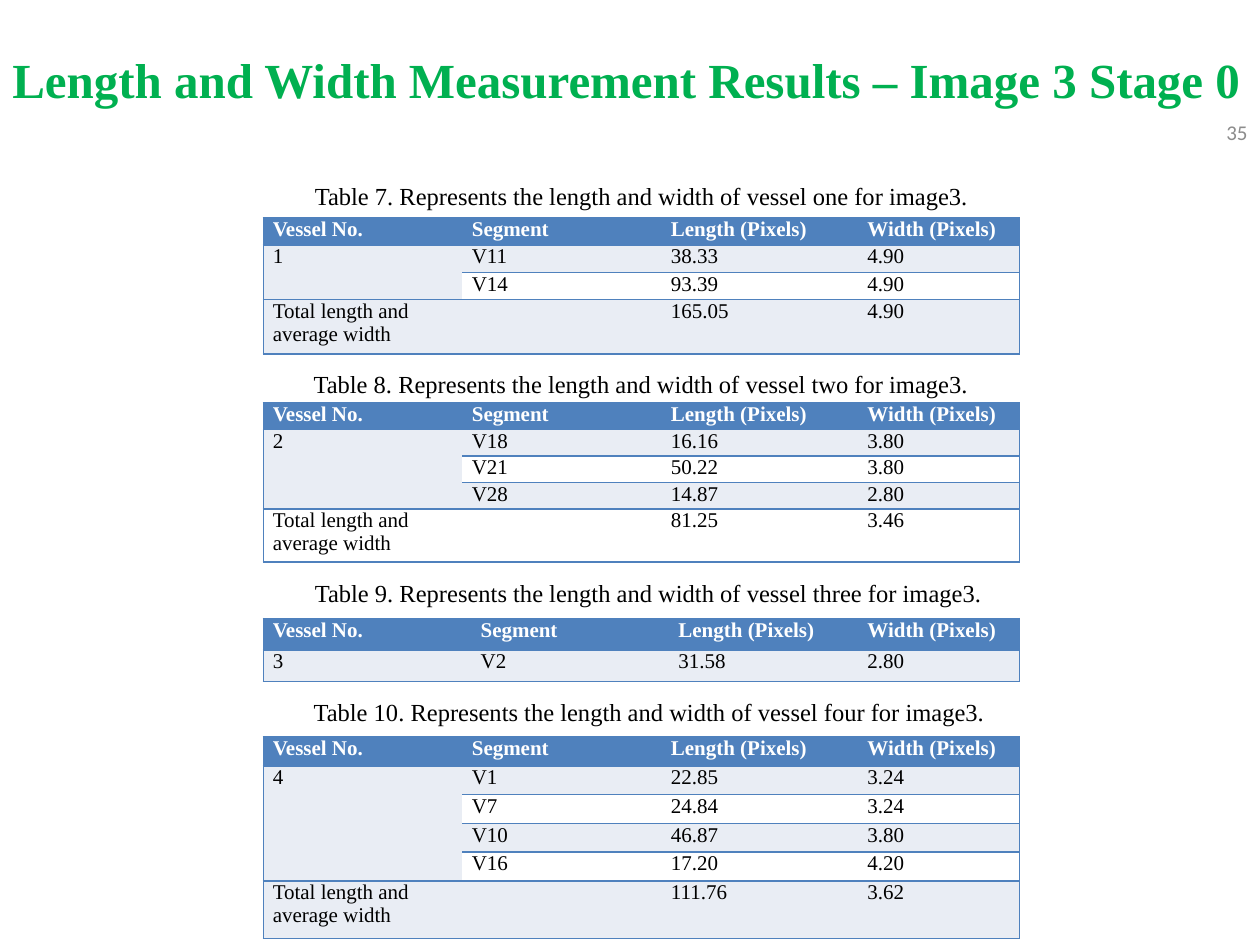
import dataclasses

import pptx
import pptx.dml.color
import pptx.enum.text
import pptx.oxml
import pptx.oxml.ns
import pptx.util

Align = pptx.enum.text.PP_ALIGN
Anchor = pptx.enum.text.MSO_ANCHOR


@dataclasses.dataclass(frozen=True)
class Theme:
    serif: str = "Times New Roman"
    sans: str = "Calibri"
    title: str = "00B050"
    ink: str = "000000"
    muted: str = "8C8C8C"
    header: str = "4F81BD"
    header_ink: str = "FFFFFF"
    bands: tuple = ("FFFFFF", "E9EDF4")
    title_size: int = 28
    caption_size: int = 14
    body_size: int = 12


class ResultsSlide:
    """Places elements on a grid of 100 columns by 75 rows."""

    def __init__(self, deck, theme):
        self.theme = theme
        self.column = deck.slide_width / 100
        self.row = deck.slide_height / 75
        self.page = deck.slides.add_slide(deck.slide_layouts[6])

    def across(self, columns):
        return pptx.util.Emu(round(columns * self.column))

    def down(self, rows):
        return pptx.util.Emu(round(rows * self.row))

    def frame(self, left, top, width, height):
        return self.across(left), self.down(top), self.across(width), self.down(height)

    def style(self, para, size, color, face=None, bold=False):
        font = para.font
        font.name = face or self.theme.serif
        font.size = pptx.util.Pt(size)
        font.bold = bold
        font.color.rgb = pptx.dml.color.RGBColor.from_string(color)

    def text(self, words, place, size, color, face=None, bold=False,
             align=Align.LEFT, anchor=Anchor.TOP):
        box = self.page.shapes.add_textbox(*self.frame(*place))
        box.text_frame.word_wrap = True
        box.text_frame.vertical_anchor = anchor
        para = box.text_frame.paragraphs[0]
        para.text = words
        para.alignment = align
        self.style(para, size, color, face, bold)

    def caption(self, words, left, top):
        self.text(words, (left, top, 60, 3.4), self.theme.caption_size, self.theme.ink)

    def cell(self, cell, words, fill, color, bold, lined_sides):
        """Fill one cell; lined_sides lists which of L, R, T and B are ruled."""
        cell.margin_left = cell.margin_right = self.across(0.75)
        cell.margin_top = cell.margin_bottom = 0
        para = cell.text_frame.paragraphs[0]
        para.text = words
        self.style(para, self.theme.body_size, color, bold=bold)
        properties = cell._tc.get_or_add_tcPr()
        for side in "LRTB":
            paint = (f'<a:solidFill><a:srgbClr val="{self.theme.header}"/></a:solidFill>'
                     if side in lined_sides else "<a:noFill/>")
            properties.append(pptx.oxml.parse_xml(
                f'<a:ln{side} {pptx.oxml.ns.nsdecls("a")} w="12700">{paint}</a:ln{side}>'))
        cell.fill.solid()
        cell.fill.fore_color.rgb = pptx.dml.color.RGBColor.from_string(fill)

    def vessel_table(self, top, height, widths, vessel, segments, total):
        """One vessel's segments under a header; a total row is twice as tall."""
        rows = [("Vessel No.", "Segment", "Length (Pixels)", "Width (Pixels)")]
        rows += [(vessel if i == 0 else "", *segment) for i, segment in enumerate(segments)]
        units = [1] * len(rows)
        if total:
            rows.append(("Total length and average width", "", *total))
            units.append(2)
        table = self.page.shapes.add_table(
            len(rows), len(widths), *self.frame(20.9, top, sum(widths), height)).table
        table.first_row = table.horz_banding = False
        for column, width in zip(table.columns, widths):
            column.width = self.across(width)
        for row, unit in zip(table.rows, units):
            row.height = self.down(height * unit / sum(units))
        if len(segments) > 1:
            table.cell(1, 0).merge(table.cell(len(segments), 0))
        for r, row in enumerate(rows):
            header = r == 0
            fill = self.theme.header if header else self.theme.bands[r % 2]
            color = self.theme.header_ink if header else self.theme.ink
            for c, words in enumerate(row):
                cell = table.cell(r, c)
                sides = "TB" + {0: "L", len(row) - 1: "R"}.get(c, "")
                self.cell(cell, words, fill, color, header, sides)


WIDTHS = (15.8, 15.8, 15.6, 12.8)
# number, vessel word, caption left and top, table top and height, widths, segments, total
VESSELS = [
    (7, "one", 24, 13.9, 17.3, 10.8, WIDTHS,
     [("V11", "38.33", "4.90"), ("V14", "93.39", "4.90")], ("165.05", "4.90")),
    (8, "two", 23.9, 28.8, 32, 12.6, WIDTHS,
     [("V18", "16.16", "3.80"), ("V21", "50.22", "3.80"), ("V28", "14.87", "2.80")],
     ("81.25", "3.46")),
    (9, "three", 24, 45.4, 49.1, 5, (16.5, 15.7, 15, 12.8),
     [("V2", "31.58", "2.80")], None),
    (10, "four", 23.9, 54.8, 58.5, 16, WIDTHS,
     [("V1", "22.85", "3.24"), ("V7", "24.84", "3.24"), ("V10", "46.87", "3.80"),
      ("V16", "17.20", "4.20")], ("111.76", "3.62")),
]


def main():
    deck = pptx.Presentation()
    deck.slide_width = pptx.util.Inches(10)
    deck.slide_height = pptx.util.Inches(7.5)
    theme = Theme()
    slide = ResultsSlide(deck, theme)
    slide.text("35", (76.7, 8.5, 23.3, 4), theme.body_size, theme.muted, theme.sans,
               align=Align.RIGHT, anchor=Anchor.MIDDLE)
    slide.text("Length and Width Measurement Results – Image 3 Stage 0", (0, 3.4, 100, 5.7),
               theme.title_size, theme.title, bold=True, align=Align.JUSTIFY)
    for vessel, entry in enumerate(VESSELS, start=1):
        number, word, left, caption_top, top, height, widths, segments, total = entry
        slide.caption(f"Table {number}. Represents the length and width of vessel {word} "
                      "for image3.", left, caption_top)
        slide.vessel_table(top, height, widths, str(vessel), segments, total)
    deck.save("out.pptx")


if __name__ == "__main__":
    main()
